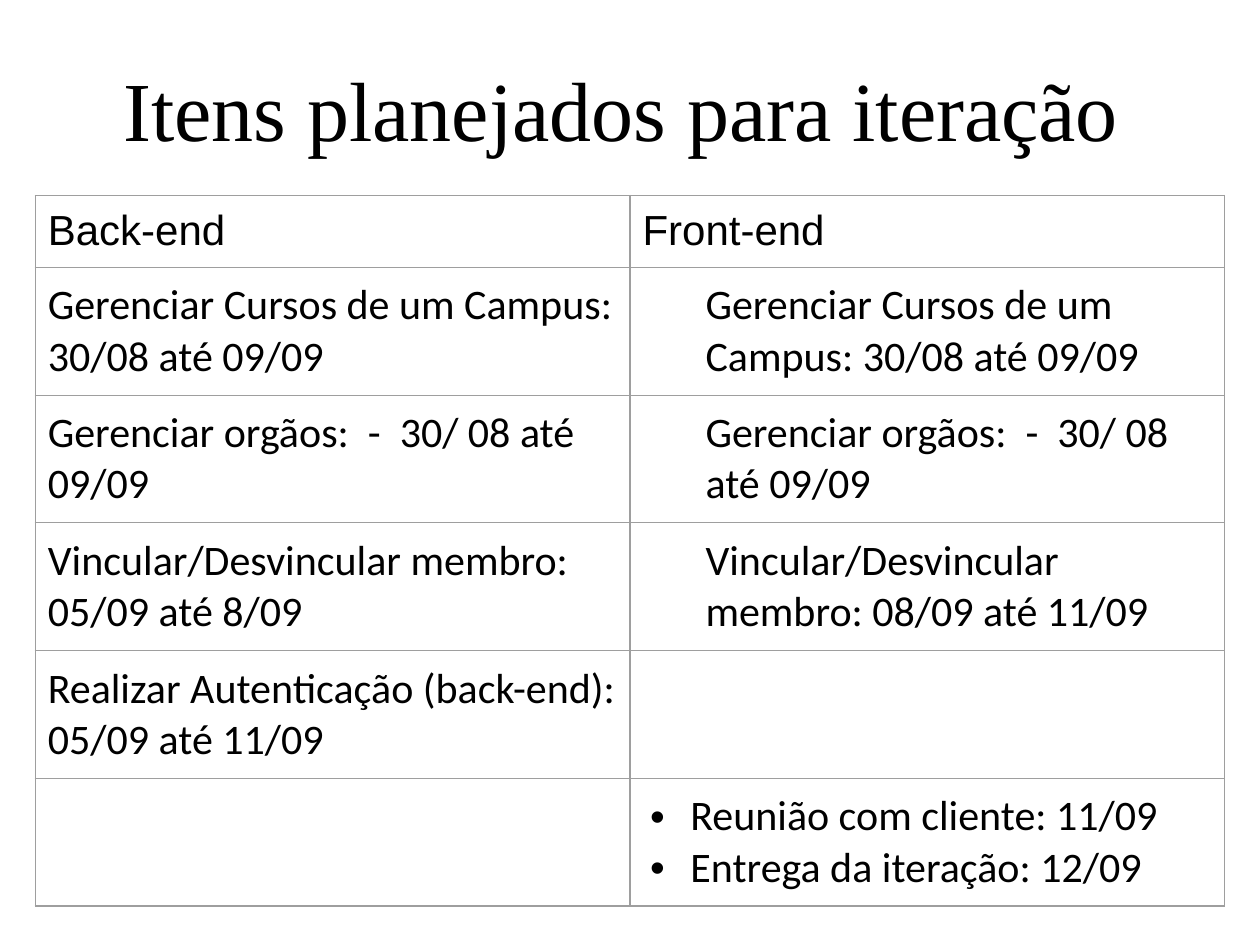
from dataclasses import dataclass

from lxml.etree import SubElement as Sub
from pptx import Presentation
from pptx.dml.color import RGBColor
from pptx.enum.text import MSO_ANCHOR, MSO_AUTO_SIZE, PP_ALIGN
from pptx.oxml.ns import qn
from pptx.util import Inches, Pt


@dataclass(frozen=True)
class Theme:
    ink: str = "000000"
    rule: str = "9E9E9E"
    rule_pt: float = 0.75
    title_pt: int = 48
    body_pt: int = 24
    title_font: str = "Times New Roman"
    head_font: str = "Arial"
    body_font: str = "Calibri"


@dataclass(frozen=True)
class Item:
    lines: tuple[str, ...] = ()
    left: float = 0
    hang: float = 0
    bullet: str = ""


@dataclass(frozen=True)
class Grid:
    left: float = 0.28
    top: float = 1.55
    col: float = 4.72
    head: float = 0.57
    row: float = 0.95
    pad: float = 0.1


THEME, GRID = Theme(), Grid()
WIDE, HIGH = 10, 7.5
TITLE = "Itens planejados para iteração"
COURSE = "Gerenciar Cursos de um Campus: 30/08 até 09/09"
ORGANS = "Gerenciar orgãos:  -  30/ 08 até 09/09"


def plain(text: str) -> Item:
    return Item((text,))


def inset(text: str) -> Item:
    return Item((text,), left=0.5)


ROWS = [
    (plain("Back-end"), plain("Front-end")),
    (plain(COURSE), inset(COURSE)),
    (plain(ORGANS), inset(ORGANS)),
    (plain("Vincular/Desvincular membro: 05/09 até 8/09"),
     inset("Vincular/Desvincular membro: 08/09 até 11/09")),
    (plain("Realizar Autenticação (back-end): 05/09 até 11/09"), Item()),
    (Item(), Item(("Reunião com cliente: 11/09", "Entrega da iteração: 12/09"),
                  left=0.38, hang=-0.32, bullet="•")),
]


def apply(target, values: dict) -> None:
    for name, value in values.items():
        setattr(target, name, value)


def write(para, text: str, font: str, size: int) -> None:
    run = para.add_run()
    run.text = text
    apply(run.font, {"name": font, "size": Pt(size), "bold": False})
    run.font.color.rgb = RGBColor.from_string(THEME.ink)


def indent(para, left: float, hang: float = 0) -> None:
    props = para._p.get_or_add_pPr()
    props.set("marL", str(Inches(left)))
    props.set("indent", str(Inches(hang)))


def mark(para, bullet: str) -> None:
    props = para._p.get_or_add_pPr()
    tint = Sub(props, qn("a:buClr"))
    Sub(tint, qn("a:srgbClr"), val=THEME.ink)
    Sub(props, qn("a:buFont"), typeface="Arial")
    Sub(props, qn("a:buChar"), char=bullet)


def frame(cell) -> None:
    """Rule all four sides; borders come before the fill in the XML."""
    props = cell._tc.get_or_add_tcPr()
    for side in ("lnL", "lnR", "lnT", "lnB"):
        line = Sub(props, qn(f"a:{side}"), w=str(Pt(THEME.rule_pt)))
        fill = Sub(line, qn("a:solidFill"))
        Sub(fill, qn("a:srgbClr"), val=THEME.rule)
    cell.fill.background()


def fill_cell(cell, item: Item, font: str) -> None:
    frame(cell)
    sides = ("left", "right", "top", "bottom")
    apply(cell, {f"margin_{side}": Inches(GRID.pad) for side in sides})
    for num, text in enumerate(item.lines):
        body = cell.text_frame
        para = body.add_paragraph() if num else body.paragraphs[0]
        if item.left:
            indent(para, item.left, item.hang)
        if item.bullet:
            mark(para, item.bullet)
        write(para, text, font, THEME.body_pt)


def add_title(slide) -> None:
    title = slide.shapes.title
    apply(title, {"left": Inches(0.05 * WIDE), "top": Inches(0.23),
                  "width": Inches(0.9 * WIDE), "height": Inches(1.25)})
    body = title.text_frame
    apply(body, {"word_wrap": True, "auto_size": MSO_AUTO_SIZE.NONE,
                 "vertical_anchor": MSO_ANCHOR.MIDDLE})
    para = body.paragraphs[0]
    para.alignment = PP_ALIGN.LEFT
    indent(para, 0.38)
    write(para, TITLE, THEME.title_font, THEME.title_pt)


def add_plan(slide) -> None:
    cols = len(ROWS[0])
    high = GRID.head + GRID.row * (len(ROWS) - 1)
    table = slide.shapes.add_table(
        len(ROWS), cols, Inches(GRID.left), Inches(GRID.top),
        Inches(GRID.col * cols), Inches(high)).table
    apply(table, {"first_row": False, "horz_banding": False})
    for col in table.columns:
        col.width = Inches(GRID.col)
    for r, items in enumerate(ROWS):
        table.rows[r].height = Inches(GRID.row if r else GRID.head)
        font = THEME.body_font if r else THEME.head_font
        for c, item in enumerate(items):
            fill_cell(table.cell(r, c), item, font)


def main() -> None:
    deck = Presentation()
    apply(deck, {"slide_width": Inches(WIDE), "slide_height": Inches(HIGH)})
    slide = deck.slides.add_slide(deck.slide_layouts[5])  # title only
    add_title(slide)
    add_plan(slide)
    deck.save("out.pptx")


if __name__ == "__main__":
    main()
